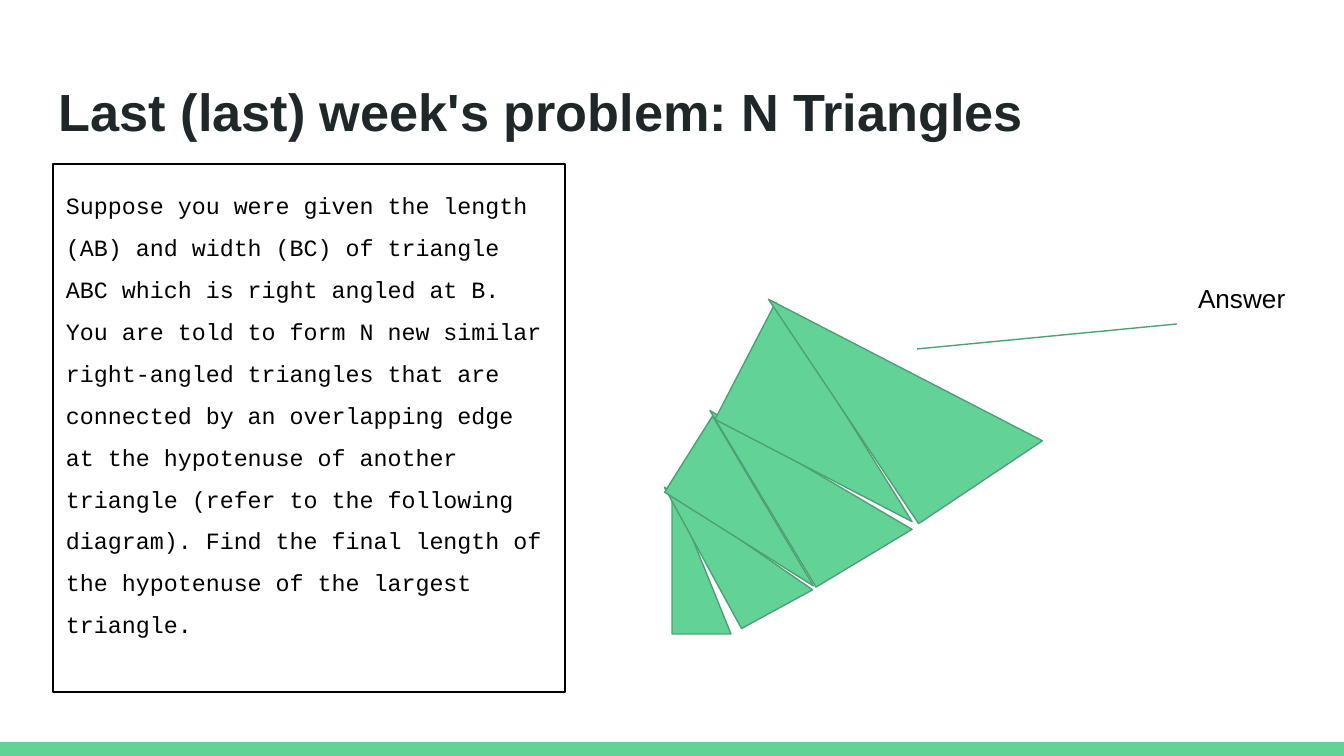
import pptx
import pptx.dml.color
import pptx.enum.shapes
import pptx.enum.text
import pptx.oxml.ns
import pptx.util
from lxml import etree

EMU_PER_PX = 914400 / 134.4
SLIDE_W, SLIDE_H = 1344, 756
INSET = 13
GREEN, EDGE, INK, BLACK = "63D297", "4BA173", "202729", "000000"
SHAPES = pptx.enum.shapes.MSO_SHAPE

PROBLEM = (
    "Suppose you were given the length (AB) and width (BC) of triangle ABC "
    "which is right angled at B. You are told to form N new similar "
    "right-angled triangles that are connected by an overlapping edge at the "
    "hypotenuse of another triangle (refer to the following diagram). Find "
    "the final length of the hypotenuse of the largest triangle."
)

# Smallest to largest: left, top, width, height, rotation, flipped
TRIANGLES = [
    (12, 268, 59, 146, 0, False),
    (38, 238, 81, 161, 331.4, False),
    (58, 193, 90, 176, 122.2, True),
    (95, 147, 112, 206, 329, False),
    (118, 81, 132, 222, 117.4, True),
    (171, 15, 149, 270, 326.2, False),
]


def px(length):
    return pptx.util.Emu(round(length * EMU_PER_PX))


def color(value):
    return pptx.dml.color.RGBColor.from_string(value)


def outline(line, value):
    line.color.rgb = color(value)
    line.width = pptx.util.Pt(0.75)


def add_text(slide, box, text, size, font, ink, bold=False):
    label = slide.shapes.add_textbox(*map(px, box))
    frame = label.text_frame
    frame.word_wrap = True
    frame.vertical_anchor = pptx.enum.text.MSO_ANCHOR.TOP
    frame.margin_left = frame.margin_right = px(INSET)
    frame.margin_top = frame.margin_bottom = px(INSET)
    run = frame.paragraphs[0].add_run()
    run.text = text
    run.font.size = pptx.util.Pt(size)
    run.font.name = font
    run.font.bold = bold
    run.font.color.rgb = color(ink)
    return label


def add_footer_bar(slide, box):
    bar = slide.shapes.add_shape(SHAPES.RECTANGLE, *map(px, box))
    bar.shadow.inherit = False
    bar.fill.solid()
    bar.fill.fore_color.rgb = color(GREEN)
    bar.line.fill.background()


def add_problem(slide, box):
    problem = add_text(slide, box, PROBLEM, 12.5, "Courier New", BLACK)
    outline(problem.line, BLACK)
    paragraph = problem.text_frame.paragraphs[0]
    paragraph.line_spacing = 1.5
    paragraph.space_after = pptx.util.Pt(16)


def add_diagram(slide, box):
    left, top, width, height = box

    # Chain of right-angled triangles
    for x, y, w, h, rotation, flipped in TRIANGLES:
        triangle = slide.shapes.add_shape(
            SHAPES.RIGHT_TRIANGLE, px(left + x), px(top + y), px(w), px(h))
        triangle.shadow.inherit = False
        triangle.fill.solid()
        triangle.fill.fore_color.rgb = color(GREEN)
        outline(triangle.line, EDGE)
        triangle.rotation = rotation
        if flipped:
            triangle._element.spPr.xfrm.set("flipH", "1")

    # Pointer from the answer to the last hypotenuse
    pointer = slide.shapes.add_connector(
        pptx.enum.shapes.MSO_CONNECTOR.STRAIGHT,
        px(left + 517), px(top + 104), px(left + 257), px(top + 129))
    outline(pointer.line, EDGE)
    etree.SubElement(pointer._element.spPr, pptx.oxml.ns.qn("a:effectLst"))
    add_text(slide, (left + 525, top + 49, width - 525, 155),
             "Answer", 14, "Arial", BLACK)


def main():
    deck = pptx.Presentation()
    deck.slide_width, deck.slide_height = px(SLIDE_W), px(SLIDE_H)
    slide = deck.slides.add_slide(deck.slide_layouts[6])

    add_footer_bar(slide, (0, SLIDE_H - 14, SLIDE_W, 14))
    add_text(slide, (46, 66, 1252, 85),
             "Last (last) week's problem: N Triangles", 28, "Arial", INK, True)
    add_problem(slide, (53, 164, 512, 528))
    add_diagram(slide, (660, 220, SLIDE_W - 660, 420))

    deck.save("out.pptx")


if __name__ == "__main__":
    main()
